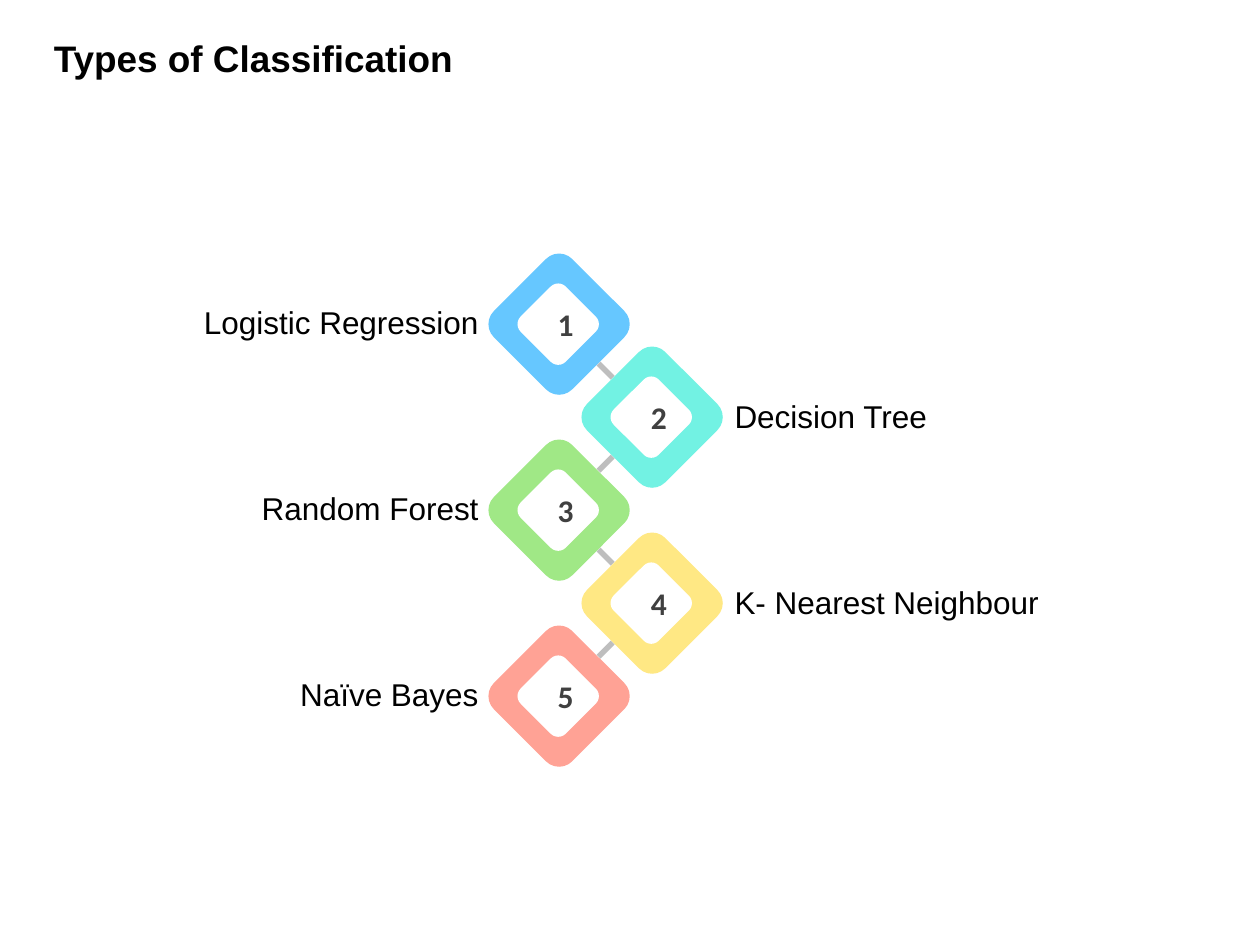
from lxml import etree
from pptx import Presentation
from pptx.dml.color import RGBColor
from pptx.enum import shapes as shp, text as txt
from pptx.oxml.ns import qn
from pptx.util import Inches, Pt

STEPS = [
    ("Logistic Regression", "66C7FF"),
    ("Decision Tree", "72F2E3"),
    ("Random Forest", "A0E886"),
    ("K- Nearest Neighbour", "FFE884"),
    ("Naïve Bayes", "FFA295"),
]
PITCH = 1.05  # step between tiles, both across and down
KIND = shp.MSO_SHAPE
ALIGN = txt.PP_ALIGN


def color(code):
    return RGBColor.from_string(code)


def write(shape, words, size=25.6, font="Arial", ink="000000", bold=False,
          align=ALIGN.LEFT, anchor=txt.MSO_ANCHOR.TOP, wrap=True,
          pad=(0, 0.05, 0, 0.05), space=0.9):
    frame = shape.text_frame
    frame.word_wrap = wrap
    frame.vertical_anchor = anchor
    (frame.margin_left, frame.margin_top,
     frame.margin_right, frame.margin_bottom) = map(Inches, pad)
    para = frame.paragraphs[0]
    para.alignment = align
    para.line_spacing = space
    run = para.add_run()
    run.text = words
    run.font.size = Pt(size)
    run.font.name = font
    run.font.bold = bold
    run.font.color.rgb = color(ink)


def block(slide, kind, x, y, size, fill, turn=0):
    """Square shape centred on x, y."""
    item = slide.shapes.add_shape(kind, Inches(x - size / 2), Inches(y - size / 2),
                                  Inches(size), Inches(size))
    item.shadow.inherit = False
    item.fill.solid()
    item.fill.fore_color.rgb = color(fill)
    item.line.fill.background()
    item.rotation = turn
    return item


def box(slide, x, y, w, h):
    return slide.shapes.add_textbox(Inches(x), Inches(y), Inches(w), Inches(h))


def title(slide, x, y, w, h):
    write(box(slide, x, y, w, h), "Types of Classification", size=30, bold=True,
          pad=(0.1, 0.05, 0.1, 0.05))


def link(slide, x, y, side):
    """Short diagonal between two tiles, centred on x, y."""
    half = 0.08 * side
    line = slide.shapes.add_connector(
        shp.MSO_CONNECTOR.STRAIGHT, Inches(x - half), Inches(y - 0.08),
        Inches(x + half), Inches(y + 0.08))
    line.line.color.rgb = color("BEBEBE")
    line.line.width = Pt(4.5)
    etree.SubElement(line.element.spPr, qn("a:effectLst"))


def tile(slide, x, y, num, fill):
    block(slide, KIND.ROUNDED_RECTANGLE, x, y, 1.25, fill, 315)
    block(slide, KIND.ROUNDED_RECTANGLE, x - 0.01, y, 0.72, "FFFFFF", 315)
    disc = block(slide, KIND.OVAL, x - 0.01, y, 0.27, "FFFFFF")
    write(disc, str(num), font="Calibri", ink="404040", bold=True, wrap=False,
          align=ALIGN.CENTER, anchor=txt.MSO_ANCHOR.MIDDLE,
          pad=(0.17, 0, 0, 0), space=1.0)


def label(slide, x, y, w, words, align):
    write(box(slide, x, y, w, 0.49), words, align=align,
          anchor=txt.MSO_ANCHOR.BOTTOM)


def zigzag(slide, x, y):
    """Tiles alternate left and right; x, y is the centre of the first."""
    # Links lie behind the tiles
    for i in range(len(STEPS) - 1):
        link(slide, x + PITCH / 2, y + PITCH * (i + 0.5), -1 if i % 2 else 1)
    # Tiles with their labels on the outer side
    for i, (words, fill) in enumerate(STEPS):
        right = i % 2
        row = y + PITCH * i
        tile(slide, x + PITCH * right, row, i + 1, fill)
        if right:
            label(slide, x + 1.98, row - 0.24, 3.96, words, ALIGN.LEFT)
        else:
            label(slide, x - 4.34, row - 0.25, 3.43, words, ALIGN.RIGHT)


def main():
    deck = Presentation()
    deck.slide_width, deck.slide_height = Inches(14.22), Inches(10.67)
    slide = deck.slides.add_slide(deck.slide_layouts[6])
    title(slide, 0.51, 0.41, 7.34, 0.56)
    zigzag(slide, 6.31, 3.66)
    deck.save("out.pptx")


if __name__ == "__main__":
    main()
